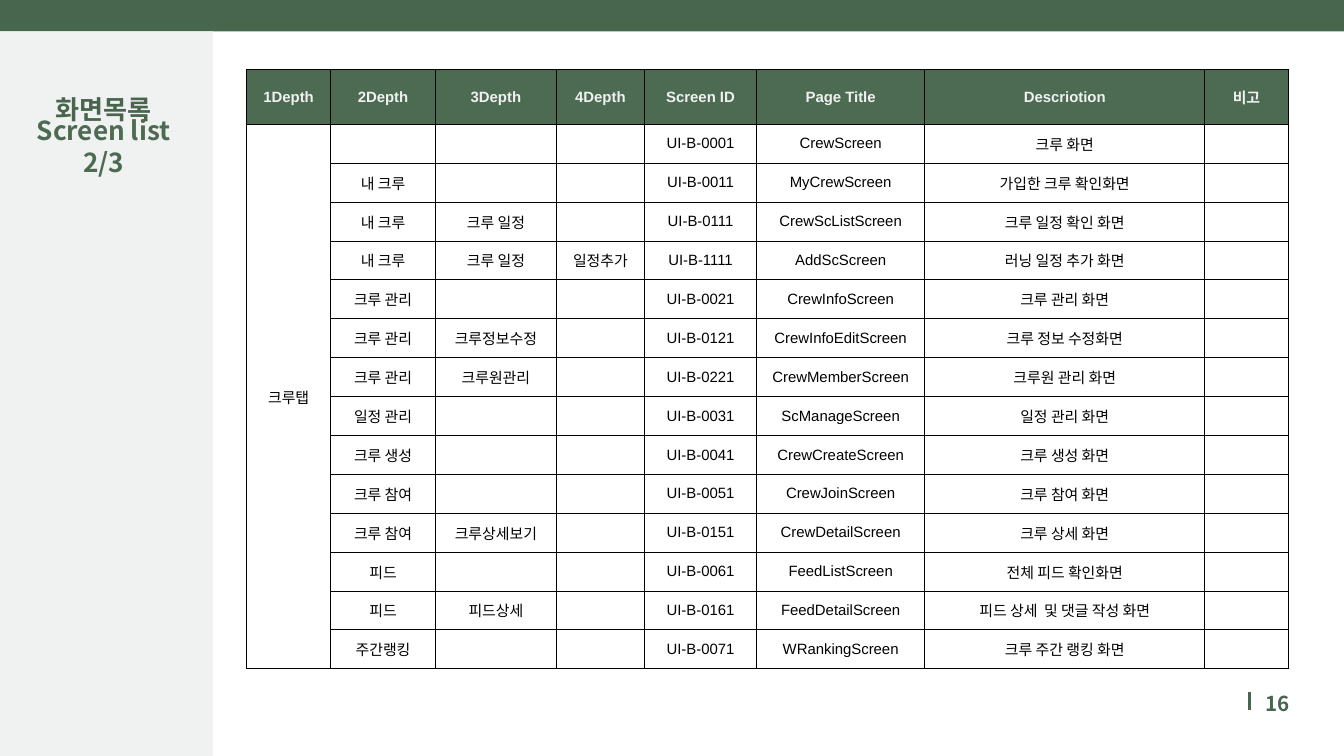
from lxml import etree
from pptx import Presentation
from pptx import util as u
from pptx.dml.color import RGBColor
from pptx.enum import shapes, text
from pptx.oxml import ns

COLORS = {"green": "48664D", "soft_green": "4D6A52", "pale": "F0F1F1", "black": "000000"}
KOREAN_FONT = "Noto Sans CJK KR"

HEADINGS = ["1Depth", "2Depth", "3Depth", "4Depth", "Screen ID", "Page Title", "Descriotion", "비고"]
COLUMN_WIDTHS = [3.18, 3.96, 4.57, 3.33, 4.24, 6.35, 10.59, 3.15]
HEADING_HEIGHT, ROW_HEIGHT = 2.06, 1.47
# 2Depth, 3Depth, 4Depth, screen ID, page title, description
SCREENS = [
    ("", "", "", "UI-B-0001", "CrewScreen", "크루 화면"),
    ("내 크루", "", "", "UI-B-0011", "MyCrewScreen", "가입한 크루 확인화면"),
    ("내 크루", "크루 일정", "", "UI-B-0111", "CrewScListScreen", "크루 일정 확인 화면"),
    ("내 크루", "크루 일정", "일정추가", "UI-B-1111", "AddScScreen", "러닝 일정 추가 화면"),
    ("크루 관리", "", "", "UI-B-0021", "CrewInfoScreen", "크루 관리 화면"),
    ("크루 관리", "크루정보수정", "", "UI-B-0121", "CrewInfoEditScreen", "크루 정보 수정화면"),
    ("크루 관리", "크루원관리", "", "UI-B-0221", "CrewMemberScreen", "크루원 관리 화면"),
    ("일정 관리", "", "", "UI-B-0031", "ScManageScreen", "일정 관리 화면"),
    ("크루 생성", "", "", "UI-B-0041", "CrewCreateScreen", "크루 생성 화면"),
    ("크루 참여", "", "", "UI-B-0051", "CrewJoinScreen", "크루 참여 화면"),
    ("크루 참여", "크루상세보기", "", "UI-B-0151", "CrewDetailScreen", "크루 상세 화면"),
    ("피드", "", "", "UI-B-0061", "FeedListScreen", "전체 피드 확인화면"),
    ("피드", "피드상세", "", "UI-B-0161", "FeedDetailScreen", "피드 상세  및 댓글 작성 화면"),
    ("주간랭킹", "", "", "UI-B-0071", "WRankingScreen", "크루 주간 랭킹 화면"),
]


def add_run(paragraph, words, font, size, color, bold):
    run = paragraph.add_run()
    run.text = words
    run.font.name = font
    run.font.size = u.Pt(size)
    run.font.bold = bold
    run.font.color.rgb = RGBColor.from_string(COLORS[color])
    if font == KOREAN_FONT:
        etree.SubElement(run.font._element, ns.qn("a:ea"), typeface=font)


def style_cell(cell, fill):
    """Set margins, anchor, fill (None for no fill) and thin black borders."""
    cell.margin_left = cell.margin_right = cell.margin_top = cell.margin_bottom = u.Cm(0.25)
    cell.vertical_anchor = text.MSO_ANCHOR.MIDDLE
    properties = cell._tc.get_or_add_tcPr()
    for side in ("lnL", "lnR", "lnT", "lnB"):
        border = etree.SubElement(properties, ns.qn(f"a:{side}"), w=str(u.Pt(1)))
        paint = etree.SubElement(border, ns.qn("a:solidFill"))
        etree.SubElement(paint, ns.qn("a:srgbClr"), val=COLORS["black"])
    if fill:
        cell.fill.solid()
        cell.fill.fore_color.rgb = RGBColor.from_string(COLORS[fill])
    else:
        cell.fill.background()


prs = Presentation()
prs.slide_width, prs.slide_height = u.Cm(50.8), u.Cm(28.58)
slide = prs.slides.add_slide(prs.slide_layouts[6])

# Top band and side panel
for left, top, width, height, color in [
    (0, 0, 50.8, 1.19, "green"),
    (0, 1.19, 8.05, 27.39, "pale"),
]:
    panel = slide.shapes.add_shape(
        shapes.MSO_SHAPE.RECTANGLE, u.Cm(left), u.Cm(top), u.Cm(width), u.Cm(height))
    panel.shadow.inherit = False
    panel.fill.solid()
    panel.fill.fore_color.rgb = RGBColor.from_string(COLORS[color])
    panel.line.fill.background()

# Bar beside the page number
page_bar = slide.shapes.add_connector(
    shapes.MSO_CONNECTOR.STRAIGHT, u.Cm(47.22), u.Cm(26.16), u.Cm(47.22), u.Cm(26.85))
page_bar.line.color.rgb = RGBColor.from_string(COLORS["green"])
page_bar.line.width = u.Pt(3.75)
etree.SubElement(page_bar._element.spPr, ns.qn("a:effectLst"))

# Page number and side titles
for left, top, width, height, lines, size, color, align, spacing in [
    (47.52, 25.96, 1.22, 1.02, ["16"], 22, "green", text.PP_ALIGN.RIGHT, 30.8),
    (1.07, 1.37, 5.72, 2.77, ["화면목록"], 28, "green", text.PP_ALIGN.CENTER, 94.7),
    (-1.9, 4.34, 11.63, 2.39, ["Screen list", "2/3"], 28, "soft_green", text.PP_ALIGN.CENTER, None),
]:
    label = slide.shapes.add_textbox(u.Cm(left), u.Cm(top), u.Cm(width), u.Cm(height)).text_frame
    label.word_wrap = True
    label.margin_left = label.margin_right = label.margin_top = label.margin_bottom = 0
    for number, line in enumerate(lines):
        paragraph = label.add_paragraph() if number else label.paragraphs[0]
        paragraph.alignment = align
        if spacing:
            paragraph.line_spacing = u.Pt(spacing)
        add_run(paragraph, line, KOREAN_FONT, size, color, True)

# Screen list
rows = [HEADINGS] + [("크루탭" if i == 0 else "", *screen, "") for i, screen in enumerate(SCREENS)]
screen_table = slide.shapes.add_table(
    len(rows), len(HEADINGS), u.Cm(9.32), u.Cm(2.64), u.Cm(sum(COLUMN_WIDTHS)),
    u.Cm(HEADING_HEIGHT + ROW_HEIGHT * len(SCREENS))).table
screen_table.first_row = screen_table.horz_banding = False
for column, width in zip(screen_table.columns, COLUMN_WIDTHS):
    column.width = u.Cm(width)
for r, row in enumerate(rows):
    heading = r == 0
    screen_table.rows[r].height = u.Cm(HEADING_HEIGHT if heading else ROW_HEIGHT)
    for c, words in enumerate(row):
        cell = screen_table.cell(r, c)
        style_cell(cell, "soft_green" if heading else None)
        paragraph = cell.text_frame.paragraphs[0]
        paragraph.alignment = text.PP_ALIGN.CENTER
        if words:
            add_run(paragraph, words, "Arial", 16, "pale" if heading else "black", heading)
screen_table.cell(1, 0).merge(screen_table.cell(len(SCREENS), 0))

prs.save("out.pptx")
